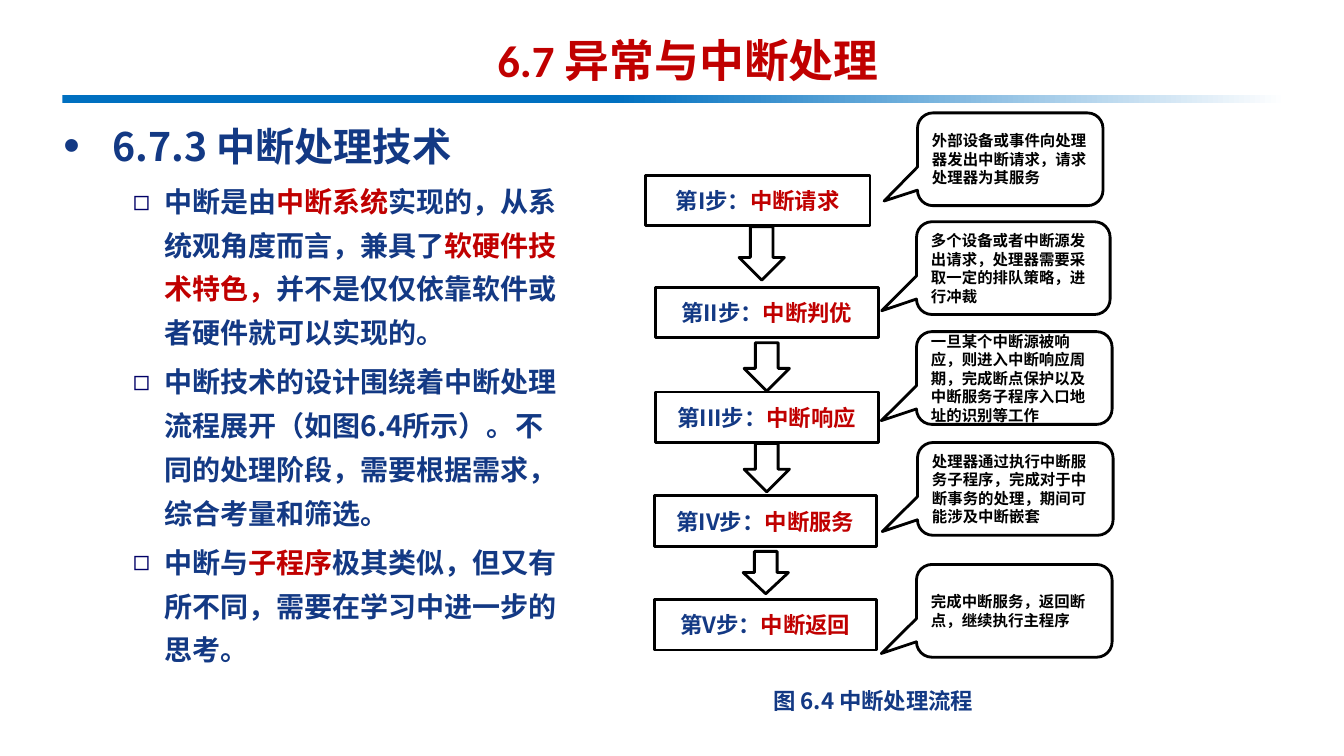
from lxml import etree
from pptx import Presentation
from pptx import util as u
from pptx.dml.color import RGBColor
from pptx.enum import shapes, text
from pptx.oxml import ns

PX = 9144
NAVY = RGBColor(0x13, 0x39, 0x84)
RED = RGBColor(0xC0, 0x00, 0x00)
BLACK = RGBColor(0, 0, 0)
WHITE = RGBColor(0xFF, 0xFF, 0xFF)
INDIGO = RGBColor(0x00, 0x00, 0x66)
BLUE = RGBColor(0x00, 0x70, 0xC0)
CJK = "Noto Sans CJK SC"

TITLE = [("6.7 异常与中断处理", RED)]
HEADING = [("6.7.3 中断处理技术", NAVY)]
POINTS = [
    [("中断是由", NAVY), ("中断系统", RED), ("实现的，从系统观角度而言，兼具了", NAVY),
     ("软硬件技术特色，", RED), ("并不是仅仅依靠软件或者硬件就可以实现的。", NAVY)],
    [("中断技术的设计围绕着中断处理流程展开（如图6.4所示）。"
      "不同的处理阶段，需要根据需求，综合考量和筛选。", NAVY)],
    [("中断与", NAVY), ("子程序", RED),
     ("极其类似，但又有所不同，需要在学习中进一步的思考。", NAVY)],
]
CAPTION = [("图 6.4 中断处理流程", NAVY)]
STEPS = [
    ("I", "中断请求", (640, 174, 223)),
    ("II", "中断判优", (650, 285, 221)),
    ("III", "中断响应", (650, 389, 221)),
    ("IV", "中断服务", (649, 492, 220)),
    ("V", "中断返回", (649, 595, 220)),
]
ARROWS = [(733, 225, 53), (738, 340, 48), (738, 440, 48), (737, 547, 42)]
NOTES = [
    ("外部设备或事件向处理器发出中断请求，请求处理器为其服务", (910, 112, 184), (-0.68, 0.45)),
    ("多个设备或者中断源发出请求，处理器需要采取一定的排队策略，进行冲裁",
     (909, 220, 192), (-0.68, 0.46)),
    ("一旦某个中断源被响应，则进入中断响应周期，完成断点保护以及中断服务子程序入口地址的识别等工作",
     (909, 329, 194), (-0.68, 0.46)),
    ("处理器通过执行中断服务子程序，完成对于中断事务的处理，期间可能涉及中断嵌套",
     (910, 439, 194), (-0.68, 0.46)),
    ("完成中断服务，返回断点，继续执行主程序", (909, 560, 194), (-0.68, 0.46)),
]
STEP_H, NOTE_H, ARROW_W = 50, 92, 45


def px(*lengths):
    return [u.Emu(length * PX) for length in lengths]


def child(parent, tag, **attributes):
    return etree.SubElement(parent, ns.qn("a:" + tag), attributes)


def write(paragraph, runs, size, font=CJK):
    for words, color in runs:
        run = paragraph.add_run()
        run.text = words
        run.font.size = u.Pt(size)
        run.font.bold = True
        run.font.name = font
        run.font.color.rgb = color
        child(run.font._element, "ea", typeface=CJK)


def bullet(paragraph, mark, color, percent, left, hanging):
    props = paragraph._p.get_or_add_pPr()
    props.set("marL", str(left * PX))
    props.set("indent", str(-hanging * PX))
    child(child(props, "buClr"), "srgbClr", val=str(color))
    child(props, "buSzPct", val=str(percent * 1000))
    child(props, "buFont", typeface="Arial")
    child(props, "buChar", char=mark)
    paragraph.line_spacing = 1.3


def text_frame(*box):
    frame = slide.shapes.add_textbox(*px(*box)).text_frame
    frame.word_wrap = True
    return frame


def outlined(kind, *box):
    shape = slide.shapes.add_shape(kind, *px(*box))
    shape.shadow.inherit = False
    shape.fill.solid()
    shape.fill.fore_color.rgb = WHITE
    shape.line.color.rgb = BLACK
    shape.line.width = u.Pt(2)
    shape.text_frame.word_wrap = True
    shape.text_frame.vertical_anchor = text.MSO_ANCHOR.MIDDLE
    return shape


deck = Presentation()
deck.slide_width, deck.slide_height = px(1333, 750)
slide = deck.slides.add_slide(deck.slide_layouts[6])

rule = slide.shapes.add_shape(shapes.MSO_SHAPE.RECTANGLE, *px(62, 94, 1214, 8))
rule.shadow.inherit = False
rule.line.fill.background()
rule.fill.gradient()
rule.fill.gradient_angle = 0
stops = rule._element.spPr.find(ns.qn("a:gradFill")).find(ns.qn("a:gsLst"))
for stop in list(stops):
    stops.remove(stop)
for percent, color in [(0, BLUE), (45, BLUE), (100, WHITE)]:
    child(child(stops, "gs", pos=str(percent * 1000)), "srgbClr", val=str(color))

body = text_frame(53, 102, 523, 634)
heading = body.paragraphs[0]
bullet(heading, "•", NAVY, 120, 49, 49)
write(heading, HEADING, 28)
for runs in POINTS:
    point = body.add_paragraph()
    bullet(point, "◻", INDIGO, 100, 100, 31)
    point.space_before = u.Pt(4)
    write(point, runs, 20)

title = text_frame(66, 26, 1233, 75)
title.margin_top, title.margin_bottom = px(6, 5)
title.paragraphs[0].alignment = text.PP_ALIGN.CENTER
write(title.paragraphs[0], TITLE, 32, "Calibri")

for number, stage, (left, top, width) in STEPS:
    step = outlined(shapes.MSO_SHAPE.RECTANGLE, left, top, width, STEP_H)
    label = step.text_frame.paragraphs[0]
    label.alignment = text.PP_ALIGN.CENTER
    write(label, [(f"第{number}步：", NAVY), (stage, RED)], 16)

for left, top, height in ARROWS:
    outlined(shapes.MSO_SHAPE.DOWN_ARROW, left, top, ARROW_W, height)

write(text_frame(757, 677, 288, 37).paragraphs[0], CAPTION, 16)

for words, (left, top, width), tip in NOTES:
    note = outlined(shapes.MSO_SHAPE.ROUNDED_RECTANGULAR_CALLOUT, left, top, width, NOTE_H)
    note.adjustments[0], note.adjustments[1] = tip
    remark = note.text_frame.paragraphs[0]
    remark.alignment = text.PP_ALIGN.LEFT
    remark._p.get_or_add_pPr().set("hangingPunct", "0")
    write(remark, [(words, BLACK)], 11, "Arial")

deck.save("out.pptx")
